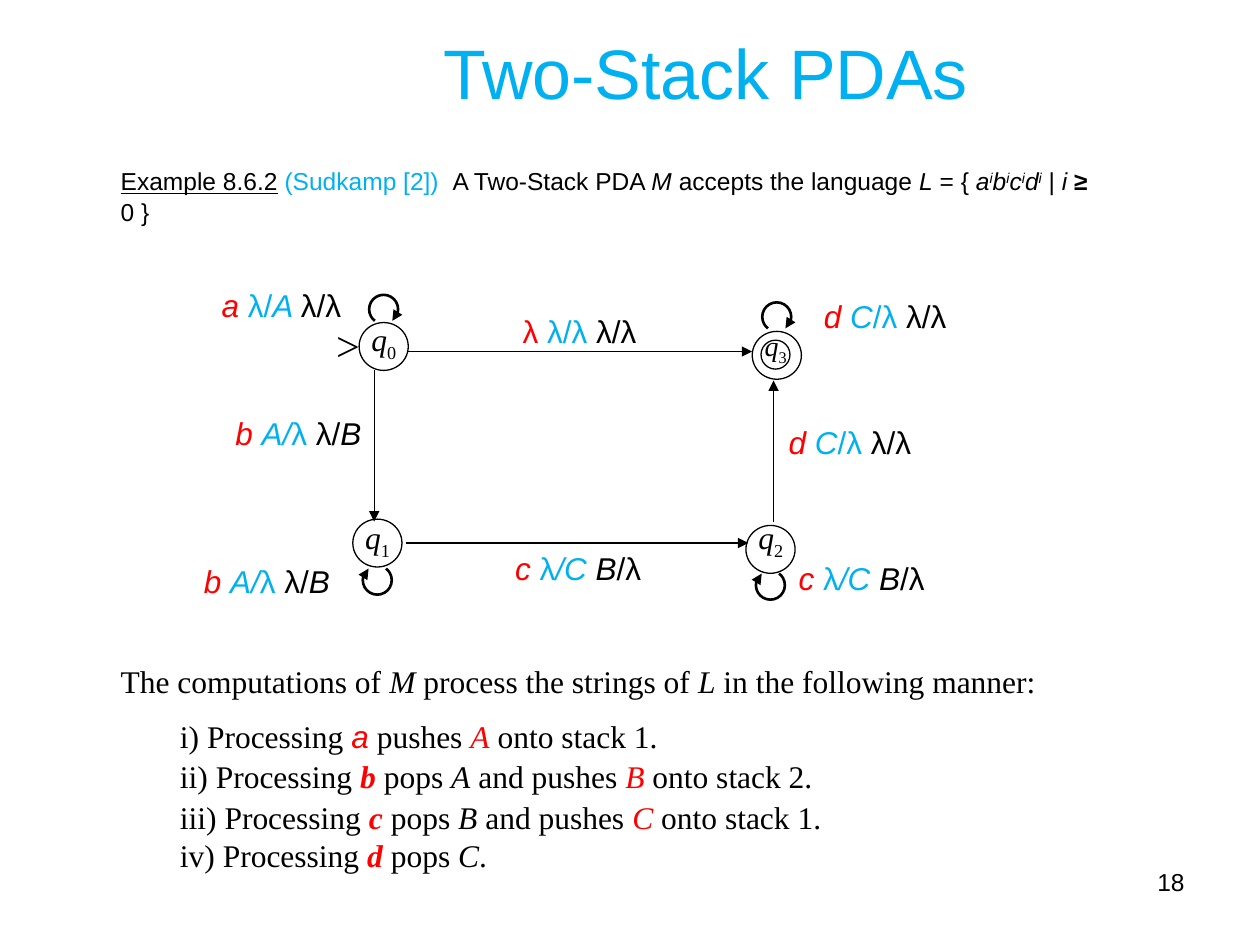
from lxml import etree
from pptx import Presentation
from pptx.dml.color import RGBColor
from pptx.enum.shapes import MSO_CONNECTOR, MSO_SHAPE
from pptx.enum.text import MSO_ANCHOR, PP_ALIGN
from pptx.oxml.ns import qn
from pptx.util import Inches, Pt

BLACK = RGBColor(0x00, 0x00, 0x00)
RED = RGBColor(0xFF, 0x00, 0x00)
CYAN = RGBColor(0x00, 0xB0, 0xF0)
SANS, SERIF = "Arial", "Times New Roman"

# Text is a list of paragraphs, each a list of (text, marks) runs. Marks:
# i italic, b bold, u underline, r red, c cyan, s sans, ^ superscript, _ subscript
TITLE = [[("Two-Stack PDAs", "c")]]
POWERS = [run for letter in "abcd" for run in ((letter, "i"), ("i", "i^"))]
EXAMPLE = [[("Example 8.6.2", "u"), (" ", ""), ("(Sudkamp [2])  ", "c"),
            ("A Two-Stack PDA ", ""), ("M", "i"), (" accepts the language ", ""),
            ("L", "i"), (" = { ", ""), *POWERS, (" | ", ""), ("i ", "i"),
            ("≥", "b"), (" 0 }", "")]]
INTRO = [[("The computations of ", ""), ("M", "i"), (" process the strings of ", ""),
          ("L", "i"), (" in the following manner:", "")]]
STEPS = [
    [("i) Processing ", ""), ("a", "irs"), (" pushes ", ""), ("A", "ir"),
     (" onto stack 1.", "")],
    [("ii) Processing ", ""), ("b", "bir"), (" pops ", ""), ("A", "i"),
     (" and pushes ", ""), ("B", "ir"), (" onto stack 2.", "")],
    [("iii) Processing ", ""), ("c", "bir"), (" pops ", ""), ("B", "i"),
     (" and pushes ", ""), ("C", "ir"), (" onto stack 1.", "")],
    [("iv) Processing ", ""), ("d", "bir"), (" pops ", ""), ("C", "i"), (".", "")],
]

# Transition labels, and where each one is placed
SKIP = [("λ ", "r"), ("λ/λ ", "c"), ("λ/λ", "")]
READ_A = [("a ", "ir"), ("λ/", "c"), ("A ", "ic"), ("λ/λ", "")]
READ_B = [("b ", "ir"), ("A/", "ic"), ("λ ", "c"), ("λ/", ""), ("B", "i")]
READ_C = [("c ", "ir"), ("λ", "c"), ("/C", "ic"), (" B", "i"), ("/λ", "")]
READ_D = [("d ", "ir"), ("C", "ic"), ("/λ ", "c"), ("λ/λ", "")]
LABELS = [
    (SKIP, 4.05, 2.43), (READ_A, 1.66, 2.22),
    (READ_B, 1.77, 3.24), (READ_B, 1.52, 4.41),
    (READ_C, 3.99, 4.31), (READ_C, 6.24, 4.39),
    (READ_D, 6.16, 3.31), (READ_D, 6.44, 2.31),
]

# index, circle left/top, name left/top, name size, loop left/top, loop on top
STATES = [
    ("0", (2.85, 2.56), (2.85, 2.49), 18, (2.93, 2.34), True),
    ("1", (2.80, 4.12), (2.80, 4.06), 18, (2.88, 4.49), False),
    ("2", (5.92, 4.17), (5.92, 4.06), 18, (6.00, 4.53), False),
    ("3", (5.97, 2.63), (5.97, 2.56), 16, (6.05, 2.40), True),
]
ACCEPTING_RING = (6.04, 2.70, 0.23, 0.23)
ARROWS = [
    ((3.24, 2.79), (5.97, 2.79)), ((2.97, 2.94), (2.97, 4.14)),
    ((6.14, 4.14), (6.14, 3.02)), ((3.22, 4.31), (5.94, 4.31)),
]
LOOP_SIZE = 0.23
LOOP_START, LOOP_END = 127, 53  # degrees, clockwise from the right
ADJ_PER_DEGREE = 0.6


def add_text(slide, paragraphs, box, size=18, font=SERIF, align=PP_ALIGN.LEFT,
             anchor=MSO_ANCHOR.TOP, spacing=(1.0,)):
    """Add a text box; spacing gives line spacing per paragraph."""
    tf = slide.shapes.add_textbox(*map(Inches, box)).text_frame
    tf.word_wrap = True
    tf.vertical_anchor = anchor
    for n, (runs, line_spacing) in enumerate(zip(paragraphs, spacing)):
        p = tf.add_paragraph() if n else tf.paragraphs[0]
        p.alignment = align
        p.line_spacing = line_spacing
        for text, marks in runs:
            r = p.add_run()
            r.text = text
            f = r.font
            f.size = Pt(size)
            f.name = SANS if "s" in marks else font
            f.bold, f.italic, f.underline = (m in marks for m in "biu")
            f.color.rgb = RED if "r" in marks else CYAN if "c" in marks else BLACK
            for mark, baseline in (("^", "30000"), ("_", "-25000")):
                if mark in marks:
                    f._element.set("baseline", baseline)


def style_line(sp, width, arrow=False):
    sp.line.color.rgb = BLACK
    sp.line.width = Pt(width)
    if arrow:
        etree.SubElement(sp.line._get_or_add_ln(), qn("a:tailEnd"), type="triangle")


def add_outline(slide, kind, box, width=0.75, arrow=False):
    sp = slide.shapes.add_shape(kind, *map(Inches, box))
    sp.shadow.inherit = False
    sp.fill.background()
    style_line(sp, width, arrow)
    return sp


def add_arrow(slide, start, end):
    cn = slide.shapes.add_connector(MSO_CONNECTOR.STRAIGHT, *map(Inches, start + end))
    style_line(cn, 0.75, arrow=True)
    etree.SubElement(cn._element.spPr, qn("a:effectLst"))


def add_loop(slide, corner, on_top):
    sp = add_outline(slide, MSO_SHAPE.ARC, corner + (LOOP_SIZE, LOOP_SIZE), 1.5, True)
    turn = 0 if on_top else 180
    for n, angle in enumerate((LOOP_START, LOOP_END)):
        sp.adjustments[n] = (angle + turn) * ADJ_PER_DEGREE


def main():
    prs = Presentation()
    prs.slide_width, prs.slide_height = Inches(10), Inches(7.5)
    slide = prs.slides.add_slide(prs.slide_layouts[6])

    add_text(slide, TITLE, (3.06, 0.28, 5.08, 0.58), size=40, font=SANS,
             align=PP_ALIGN.CENTER, anchor=MSO_ANCHOR.MIDDLE)
    add_text(slide, EXAMPLE, (0.86, 1.26, 8.0, 0.62), size=14, font=SANS,
             spacing=(1.05,))

    for index, circle, name, size, loop, on_top in STATES:
        add_outline(slide, MSO_SHAPE.OVAL, circle + (0.39, 0.38))
        add_text(slide, [[("q", "i"), (index, "_")]], name + (0.47, 0.44), size=size)
        add_loop(slide, loop, on_top)
    add_outline(slide, MSO_SHAPE.OVAL, ACCEPTING_RING)
    add_text(slide, [[(">", "")]], (2.57, 2.49, 0.39, 0.5), size=24)
    for start, end in ARROWS:
        add_arrow(slide, start, end)
    for label, left, top in LABELS:
        add_text(slide, [label], (left, top, 1.45, 0.4), font=SANS)

    add_text(slide, INTRO, (0.86, 5.18, 7.75, 0.42), spacing=(1.07,))
    add_text(slide, STEPS, (1.33, 5.62, 5.58, 1.37), spacing=(1.07, 1.07, 1.07, 1.0))
    add_text(slide, [[("18", "")]], (7.17, 6.83, 2.33, 0.52), size=14, font=SANS,
             align=PP_ALIGN.RIGHT)
    prs.save("out.pptx")


if __name__ == "__main__":
    main()
